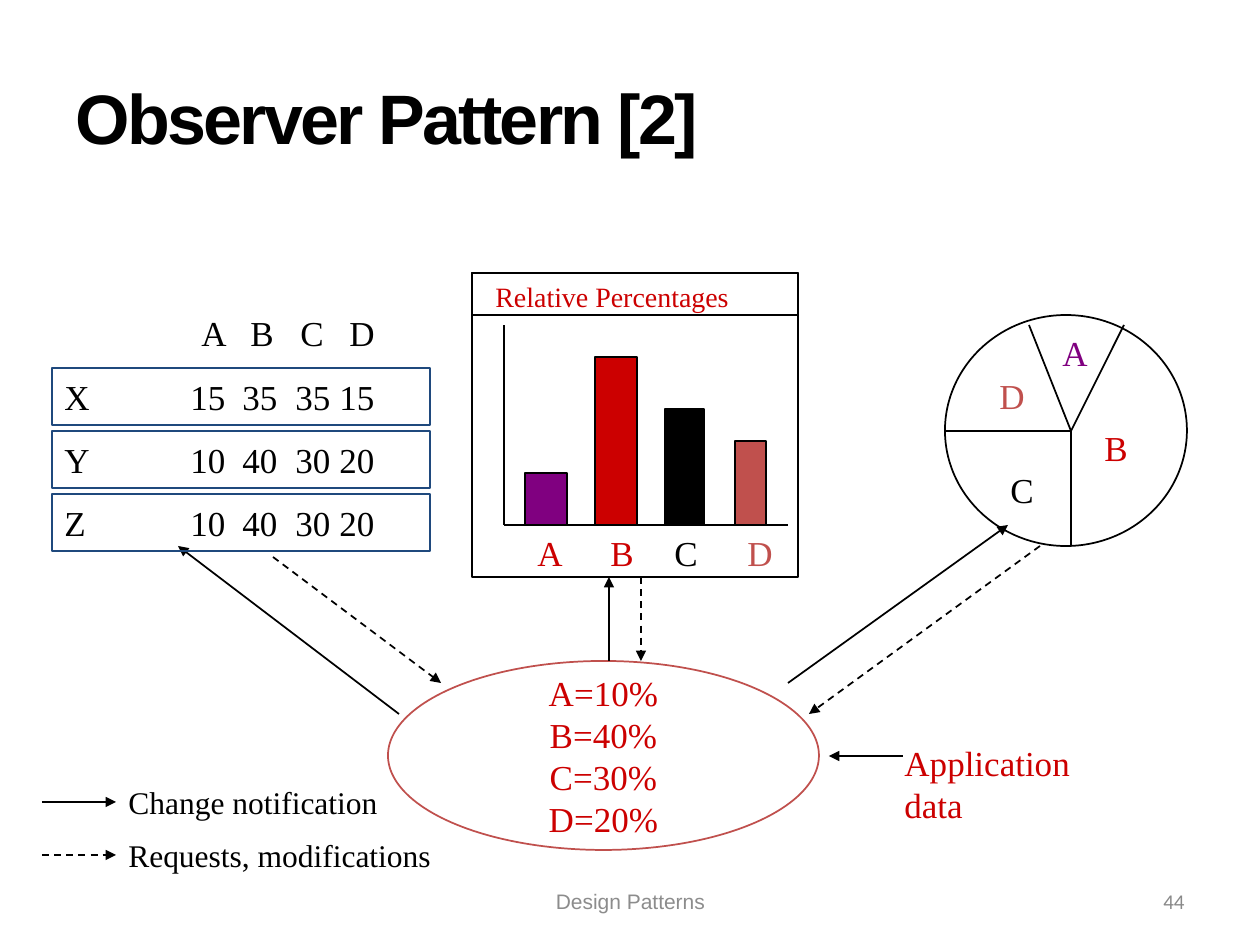
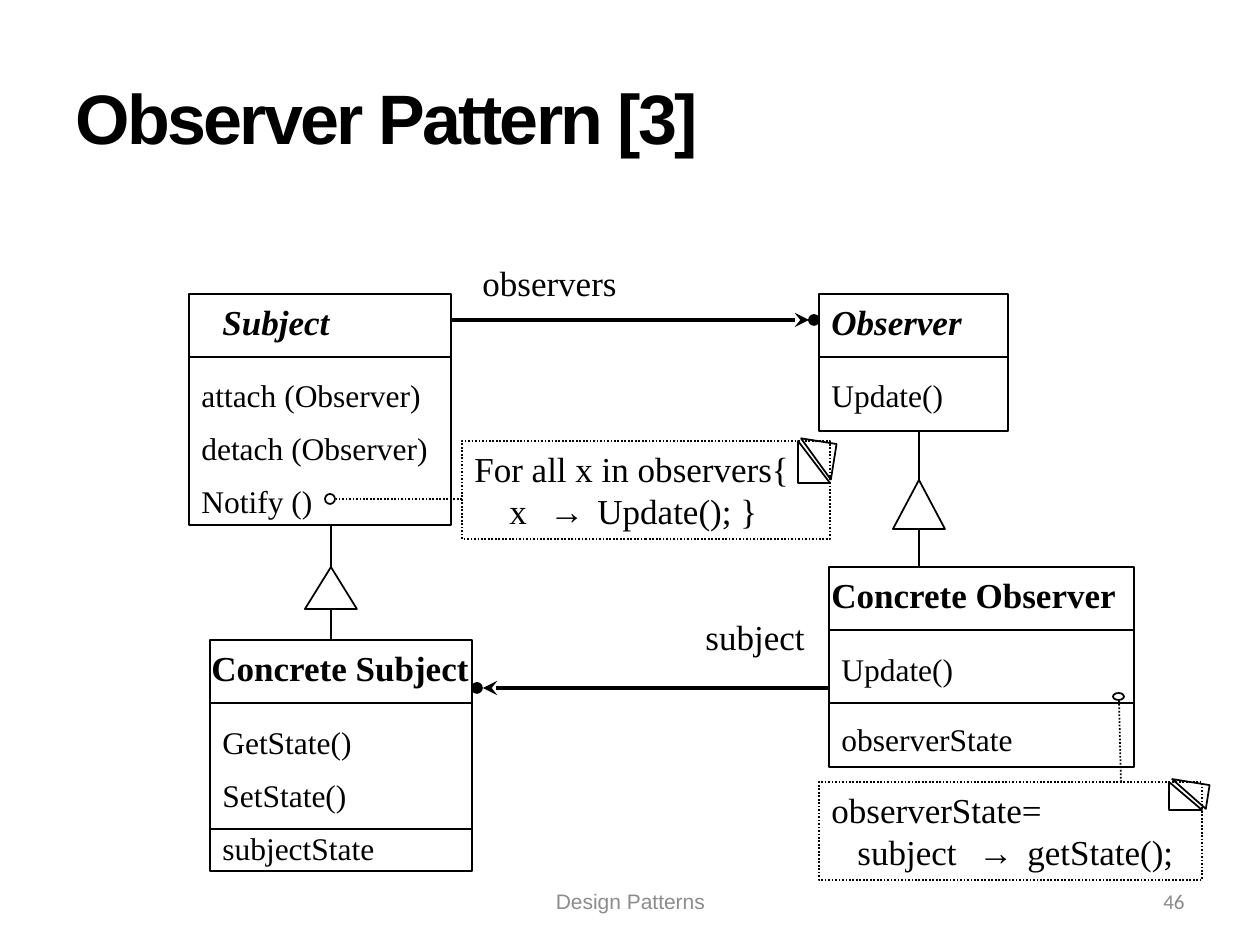
from lxml import etree
from pptx import Presentation
from pptx import util as u
from pptx.dml.color import RGBColor
from pptx.enum import dml, shapes, text
from pptx.oxml.ns import qn

EMU_PER_PX = 914400 / 126
SERIF = "Times New Roman"
COLORS = {
    "black": "000000", "white": "FFFFFF", "red": "CC0000", "purple": "800080",
    "brick": "C0504D", "navy": "1F497D", "footer": "8C8C8C", "number": "898989",
}
RECT = shapes.MSO_SHAPE.RECTANGLE
OVAL = shapes.MSO_SHAPE.OVAL
TRIANGLE = shapes.MSO_SHAPE.ISOSCELES_TRIANGLE
FOLD = shapes.MSO_SHAPE.RIGHT_TRIANGLE
DASH = dml.MSO_LINE.DASH
DOT = dml.MSO_LINE.ROUND_DOT
LEFT, CENTER, RIGHT = text.PP_ALIGN.LEFT, text.PP_ALIGN.CENTER, text.PP_ALIGN.RIGHT
MIDDLE = text.MSO_ANCHOR.MIDDLE

# Observer Pattern [2]: three views of the same data
TABLE_HEADER = "A\tB\tC\tD"
TABLE_ROWS = ["X\t15\t35\t35\t15", "Y\t10\t40\t30\t20", "Z\t10\t40\t30\t20"]
HEADER_TABS = (49, 99, 148)
ROW_TABS = (126, 178, 231, 275)
BAR_BASE = 525
BARS = [  # letter, bar colour, width, height, label colour, label left
    ("A", "purple", 42, 52, "red", 525),
    ("B", "red", 42, 168, "red", 598),
    ("C", "black", 39, 116, "black", 662),
    ("D", "brick", 31, 84, "brick", 735),
]
PIE_CENTER = (1071, 431)
PIE_EDGES = [(1029, 325), (1124, 325), (1071, 546), (945, 431)]
PIE_LABELS = [("A", "purple", 1050, 325), ("B", "red", 1092, 420),
              ("C", "black", 998, 462), ("D", "brick", 987, 368)]
APPLICATION_DATA = ["A=10%", "B=40%", "C=30%", "D=20%"]
NOTIFICATIONS = [((399, 714), (178, 546)), ((609, 661), (609, 577)),
                 ((788, 683), (1008, 525)), ((903, 756), (829, 756))]
REQUESTS = [((273, 557), (441, 683)), ((641, 577), (641, 661)),
            ((1040, 546), (809, 714))]
LEGEND = [("Change notification", 802, 285, None),
          ("Requests, modifications", 855, 338, DASH)]

# Observer Pattern [3]: class diagram
CLASSES = [  # name, name left, italic, box, divider offsets, (member, offset)
    ("Subject", 210, True, (189, 294, 262, 231), (63,),
     [("attach (Observer)", 76), ("detach (Observer)", 129), ("Notify ()", 182)]),
    ("Observer", 819, True, (819, 294, 189, 137), (63,), [("Update()", 76)]),
    ("Concrete Observer", 819, False, (829, 567, 305, 200), (63, 136),
     [("Update()", 77), ("observerState", 147)]),
    ("Concrete Subject", 199, False, (210, 640, 262, 231), (63, 189),
     [("GetState()", 77), ("SetState()", 130), ("subjectState", 183)]),
]
INHERITANCE = [  # x, parent bottom, triangle top, triangle bottom, child top
    (331, 525, 567, 609, 640),
    (919, 431, 480, 529, 567),
]
ASSOCIATIONS = [  # label, label place, line start, line end, dot left
    ("observers", (470, 255, 166), (451, 320), (809, 320), 809),
    ("subject", (693, 609, 132), (829, 688), (483, 688), 472),
]
NOTES = [
    {"lines": ["For all x in observers{", "\tx\t→\tUpdate(); }"],
     "tabs": (35, 75, 123), "box": (462, 441, 368, 98),
     "corner": (798, 441, 32, 42), "flap": (798, 441, 36, 36),
     "leader": ((462, 499), (336, 499)), "ring": (325, 494, 10, 10)},
    {"lines": ["observerState=", "\tsubject\t→\tgetState();"],
     "tabs": (26, 147, 196), "box": (819, 782, 383, 98),
     "corner": (1169, 782, 33, 28), "flap": (1177, 775, 24, 38),
     "leader": ((1121, 782), (1119, 699)), "ring": (1113, 693, 11, 7)},
]


def px(value):
    return u.Emu(round(value * EMU_PER_PX))


def rgb(name):
    return RGBColor.from_string(COLORS[name])


def write(frame, lines, size=20, color="black", font=SERIF, align=LEFT,
          bold=False, italic=False, tabs=(), spacing=None):
    frame.word_wrap = True
    for index, line in enumerate(lines):
        paragraph = frame.paragraphs[0] if index == 0 else frame.add_paragraph()
        paragraph.alignment = align
        if tabs:
            tab_list = etree.SubElement(paragraph._p.get_or_add_pPr(), qn("a:tabLst"))
            for stop in tabs:
                etree.SubElement(tab_list, qn("a:tab"), pos=str(px(stop)), algn="l")
        run = paragraph.add_run()
        run.text = line
        run.font.name = font
        run.font.size = u.Pt(size)
        run.font.bold = bold
        run.font.italic = italic
        run.font.color.rgb = rgb(color)
        if spacing:
            run._r.get_or_add_rPr().set("spc", str(spacing))


def add_text(slide, content, left, top, width, height=None, anchor=None, size=20, **style):
    height = height or round(size * 2.1 + 12)
    box = slide.shapes.add_textbox(px(left), px(top), px(width), px(height))
    if anchor is not None:
        box.text_frame.vertical_anchor = anchor
    write(box.text_frame, [content], size=size, **style)


def add_shape(slide, kind, box, fill=None, line="black", dash=None):
    shape = slide.shapes.add_shape(kind, *map(px, box))
    shape.shadow.inherit = False
    if fill:
        shape.fill.solid()
        shape.fill.fore_color.rgb = rgb(fill)
    else:
        shape.fill.background()
    shape.line.color.rgb = rgb(line)
    shape.line.width = u.Pt(1)
    if dash:
        shape.line.dash_style = dash
    return shape


def add_line(slide, start, end, dash=None, arrow=None, width=1):
    line = slide.shapes.add_connector(
        shapes.MSO_CONNECTOR.STRAIGHT, *map(px, (*start, *end)))
    line.line.color.rgb = rgb("black")
    line.line.width = u.Pt(width)
    if dash:
        line.line.dash_style = dash
    if arrow:
        etree.SubElement(line.line._get_or_add_ln(), qn("a:tailEnd"), type=arrow)
    etree.SubElement(line._element.spPr, qn("a:effectLst"))
    return line


def add_slide(presentation, title, number):
    slide = presentation.slides.add_slide(presentation.slide_layouts[6])
    add_text(slide, title, 63, 38, 1134, 157, MIDDLE, size=40, font="Arial",
             bold=True, spacing=-150)
    add_text(slide, "Design Patterns", 431, 876, 399, 50, MIDDLE, size=12,
             font="Arial", color="footer", align=CENTER)
    add_text(slide, number, 903, 876, 294, 50, MIDDLE, size=12,
             font="Calibri", color="number", align=RIGHT)
    return slide


def draw_table_view(slide):
    add_text(slide, TABLE_HEADER, 189, 305, 231, tabs=HEADER_TABS)
    for index, row in enumerate(TABLE_ROWS):
        shape = add_shape(slide, RECT, (52, 368 + 63 * index, 378, 57), line="navy")
        write(shape.text_frame, [row], tabs=ROW_TABS)


def draw_bar_view(slide):
    add_shape(slide, RECT, (472, 273, 326, 304))
    add_shape(slide, RECT, (472, 273, 326, 42))
    add_text(slide, "Relative Percentages", 483, 273, 270, size=16, color="red")
    for index, (letter, fill, width, height, color, left) in enumerate(BARS):
        add_shape(slide, RECT, (525 + 70 * index, BAR_BASE - height, width, height), fill)
        add_text(slide, letter, left, BAR_BASE, 56, color=color)
    for end in ((788, BAR_BASE), (504, 325)):
        add_line(slide, (504, BAR_BASE), end)


def draw_pie_view(slide):
    add_shape(slide, OVAL, (945, 315, 242, 231))
    for edge in PIE_EDGES:
        add_line(slide, PIE_CENTER, edge)
    for letter, color, left, top in PIE_LABELS:
        add_text(slide, letter, left, top, 56, color=color)


def draw_data_flow(slide):
    data = add_shape(slide, OVAL, (388, 661, 431, 189), "white", "brick")
    data.text_frame.vertical_anchor = MIDDLE
    write(data.text_frame, APPLICATION_DATA, color="red", align=CENTER)
    add_text(slide, "Application data", 892, 735, 220, 96, color="red")
    for dash, arrows in ((None, NOTIFICATIONS), (DASH, REQUESTS)):
        for start, end in arrows:
            add_line(slide, start, end, dash, "triangle")
    for label, y, width, dash in LEGEND:
        add_line(slide, (42, y), (116, y), dash, "triangle")
        add_text(slide, label, 116, y - 25, width, size=18)


def draw_class(slide, name, name_left, italic, box, dividers, members):
    left, top, width, _ = box
    add_shape(slide, RECT, box)
    add_text(slide, name, name_left, top, width + 25, bold=True, italic=italic)
    for offset in dividers:
        add_line(slide, (left, top + offset), (left + width, top + offset))
    for member, offset in members:
        add_text(slide, member, left, top + offset, width, size=18)


def draw_inheritance(slide, x, parent_bottom, tip, base, child_top):
    triangle = add_shape(slide, TRIANGLE, (x - 26, tip, 52, base - tip))
    add_line(slide, (x, parent_bottom), (x, tip)).end_connect(triangle, 0)
    add_line(slide, (x, base), (x, child_top))


def draw_association(slide, label, place, start, end, dot_left):
    add_line(slide, start, end, arrow="stealth", width=2.75)
    add_shape(slide, OVAL, (dot_left, end[1] - 5, 10, 10), "black")
    add_text(slide, label, *place)


def draw_note(slide, note):
    add_shape(slide, FOLD, note["corner"])
    flap = add_shape(slide, FOLD, note["flap"], "white")
    flap.rotation = 279.1
    flap._element.spPr.find(qn("a:xfrm")).set("flipH", "1")
    body = add_shape(slide, RECT, note["box"], dash=DOT)
    write(body.text_frame, note["lines"], tabs=note["tabs"])
    add_line(slide, *note["leader"], dash=DOT)
    add_shape(slide, OVAL, note["ring"])


def main():
    presentation = Presentation()
    presentation.slide_width, presentation.slide_height = px(1260), px(945)

    views = add_slide(presentation, "Observer Pattern [2]", "44")
    draw_data_flow(views)
    draw_pie_view(views)
    draw_bar_view(views)
    draw_table_view(views)

    diagram = add_slide(presentation, "Observer Pattern [3]", "46")
    for entry in CLASSES:
        draw_class(diagram, *entry)
    for link in INHERITANCE:
        draw_inheritance(diagram, *link)
    for link in ASSOCIATIONS:
        draw_association(diagram, *link)
    for note in NOTES:
        draw_note(diagram, note)

    presentation.save("out.pptx")


if __name__ == "__main__":
    main()
